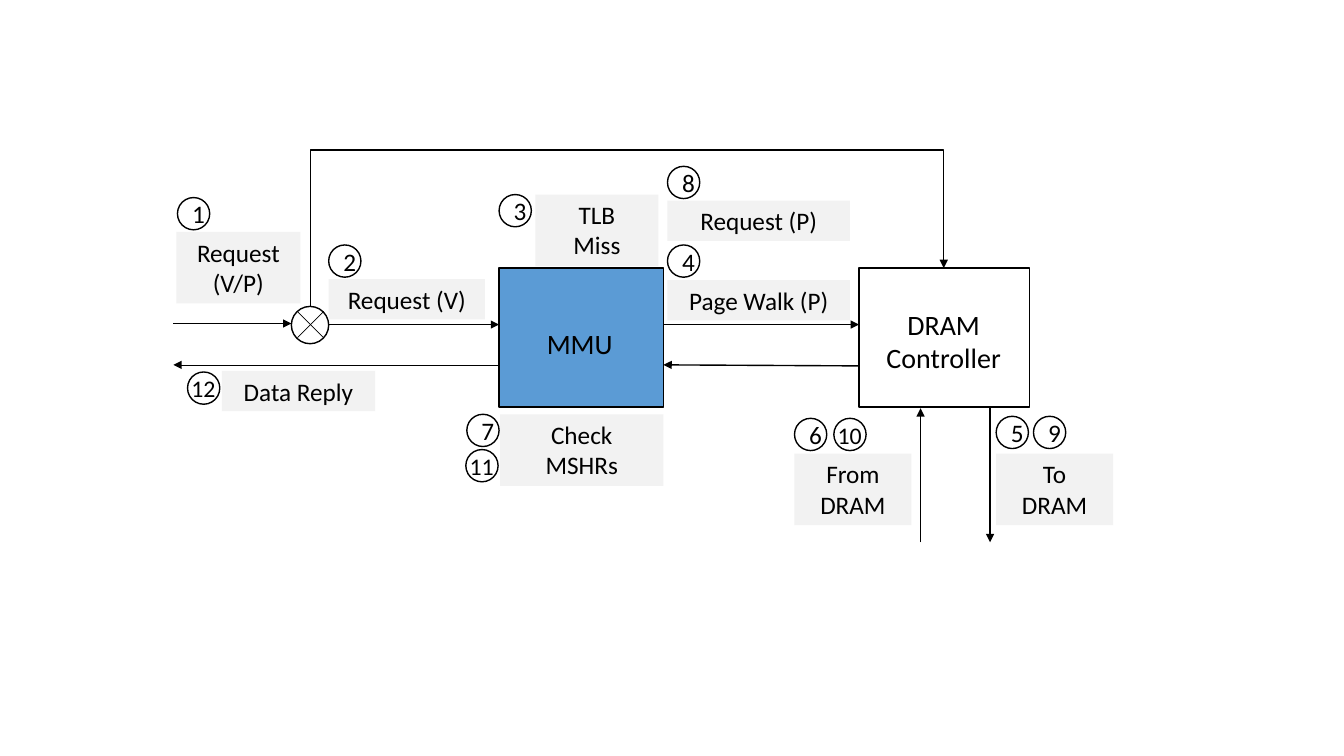
from dataclasses import dataclass

from lxml import etree
from pptx import Presentation
from pptx.dml.color import RGBColor
from pptx.enum.shapes import MSO_CONNECTOR, MSO_SHAPE
from pptx.enum.text import MSO_ANCHOR, MSO_AUTO_SIZE, PP_ALIGN
from pptx.oxml.ns import qn
from pptx.util import Inches, Pt

RECTANGLE, OVAL = MSO_SHAPE.RECTANGLE, MSO_SHAPE.OVAL
STRAIGHT, ELBOW = MSO_CONNECTOR.STRAIGHT, MSO_CONNECTOR.ELBOW
TOP, MIDDLE = MSO_ANCHOR.TOP, MSO_ANCHOR.MIDDLE
CENTER, LEFT = PP_ALIGN.CENTER, PP_ALIGN.LEFT
FIT_SHAPE, NO_FIT = MSO_AUTO_SIZE.SHAPE_TO_FIT_TEXT, MSO_AUTO_SIZE.NONE


@dataclass(frozen=True)
class Theme:
    font: str = "Calibri"
    ink: str = "000000"
    paper: str = "FFFFFF"
    label: str = "F2F2F2"
    mmu: str = "5B9BD5"
    block_size: float = 20
    label_size: float = 18
    pair_size: float = 17  # two-digit step numbers
    line: float = 1
    thin: float = 0.5


class Diagram:
    STEP = 0.32  # diameter of a step circle

    def __init__(self, slide, theme):
        self.slide = slide
        self.theme = theme

    def set_text(self, shape, text, size, align=CENTER, **frame_format):
        frame = shape.text_frame
        settings = {"word_wrap": True, "vertical_anchor": TOP, "auto_size": FIT_SHAPE}
        for name, value in {**settings, **frame_format}.items():
            setattr(frame, name, value)
        paragraph = frame.paragraphs[0]
        paragraph.text = text
        paragraph.alignment = align
        for run in paragraph.runs:
            for name, value in {"name": self.theme.font, "size": Pt(size)}.items():
                setattr(run.font, name, value)
            run.font.color.rgb = RGBColor.from_string(self.theme.ink)

    def box(self, bounds, fill, outlined=False, kind=RECTANGLE):
        shape = self.slide.shapes.add_shape(kind, *map(Inches, bounds))
        shape.shadow.inherit = False
        shape.fill.solid()
        shape.fill.fore_color.rgb = RGBColor.from_string(fill)
        if outlined:
            shape.line.color.rgb = RGBColor.from_string(self.theme.ink)
            shape.line.width = Pt(self.theme.line)
        else:
            shape.line.fill.background()
        return shape

    def label(self, text, *bounds):
        self.set_text(self.box(bounds, self.theme.label), text, self.theme.label_size)

    def text(self, text, bounds, size, **options):
        shape = self.slide.shapes.add_textbox(*map(Inches, bounds))
        self.set_text(shape, text, size, **options)

    def step(self, number, left, top):
        circle = self.box((left, top, self.STEP, self.STEP), self.theme.paper, True, OVAL)
        if number < 10:
            self.set_text(circle, str(number), self.theme.label_size,
                          vertical_anchor=MIDDLE, auto_size=NO_FIT)
        else:  # two digits need a frame wider than the circle
            self.text(str(number), (left - 0.06, top - 0.03, 0.44, 0.39),
                      self.theme.pair_size, align=LEFT, word_wrap=False)

    def line(self, *ends, weight=None, arrow=True, kind=STRAIGHT):
        connector = self.slide.shapes.add_connector(kind, *map(Inches, ends))
        connector.line.color.rgb = RGBColor.from_string(self.theme.ink)
        connector.line.width = Pt(weight or self.theme.line)
        properties = connector._element.spPr
        if arrow:
            outline = properties.find(qn("a:ln"))
            etree.SubElement(outline, qn("a:tailEnd"), type="triangle")
        etree.SubElement(properties, qn("a:effectLst"))
        return connector

    def bypass(self, start_x, start_y, end_x, end_y, crest_y):
        """Elbow that rises to crest_y, crosses and drops: a quarter-turned connector."""
        middle_x, middle_y = (start_x + end_x) / 2, (start_y + end_y) / 2
        half_rise, half_span = (start_y - end_y) / 2, (end_x - start_x) / 2
        connector = self.line(middle_x + half_rise, middle_y + half_span,
                              middle_x - half_rise, middle_y - half_span, kind=ELBOW)
        connector.rotation = 90
        bend = round((start_y - crest_y) / (start_y - end_y) * 100000)
        guides = connector._element.spPr.find(qn("a:prstGeom")).find(qn("a:avLst"))
        etree.SubElement(guides, qn("a:gd"), name="adj1", fmla=f"val {bend}")


def main():
    presentation = Presentation()
    presentation.slide_width, presentation.slide_height = Inches(13.33), Inches(7.5)
    slide = presentation.slides.add_slide(presentation.slide_layouts[6])
    theme = Theme()
    diagram = Diagram(slide, theme)

    # Main blocks
    diagram.box((8.52, 2.66, 1.69, 1.38), theme.paper, True)
    diagram.text("DRAM Controller", (8.63, 3, 1.46, 0.77), theme.block_size)
    diagram.box((4.95, 2.66, 1.63, 1.38), theme.mmu, True)
    diagram.set_text(diagram.box((5.11, 3.19, 1.28, 0.44), theme.mmu), "MMU", theme.block_size)

    # Request splitter
    diagram.box((2.89, 3.04, 0.37, 0.37), theme.paper, True, OVAL)
    for x_start, x_end in ((3.21, 2.95), (2.95, 3.21)):
        diagram.line(x_start, 3.09, x_end, 3.35, weight=theme.thin, arrow=False)

    # Data paths
    for ends in (
        (1.72, 3.21, 2.89, 3.21),
        (3.26, 3.22, 4.95, 3.22),
        (6.58, 3.22, 8.52, 3.22),
        (8.52, 3.63, 6.58, 3.62),
        (9.13, 5.38, 9.13, 4.05),
        (9.82, 4.05, 9.82, 5.38),
    ):
        diagram.line(*ends)
    diagram.line(4.95, 3.62, 1.72, 3.62, weight=theme.thin)
    diagram.bypass(3.08, 3.04, 9.36, 2.66, crest_y=1.49)

    # Labels
    for label in (
        ("Request\n(V/P)", 1.75, 2.3, 1.23, 0.71),
        ("Request (V)", 3.26, 2.77, 1.55, 0.4),
        ("TLB\nMiss", 5.31, 1.93, 1.22, 0.71),
        ("Request (P)", 6.62, 1.99, 1.81, 0.4),
        ("Page Walk (P)", 6.62, 2.78, 1.81, 0.4),
        ("To\nDRAM", 9.88, 4.5, 1.16, 0.71),
        ("From DRAM", 7.88, 4.5, 1.16, 0.71),
        ("Data Reply", 2.2, 3.68, 1.52, 0.4),
        ("Check\nMSHRs", 4.96, 4.11, 1.62, 0.71),
    ):
        diagram.label(*label)

    # Step numbers, 1 to 12
    places = ((1.76, 1.96), (3.26, 2.43), (4.95, 1.93), (6.62, 2.43),
              (9.88, 4.13), (7.88, 4.15), (4.63, 4.11), (6.62, 1.65),
              (10.25, 4.13), (8.27, 4.15), (4.62, 4.46), (1.86, 3.69))
    for number, place in enumerate(places, start=1):
        diagram.step(number, *place)

    presentation.save("out.pptx")


if __name__ == "__main__":
    main()
